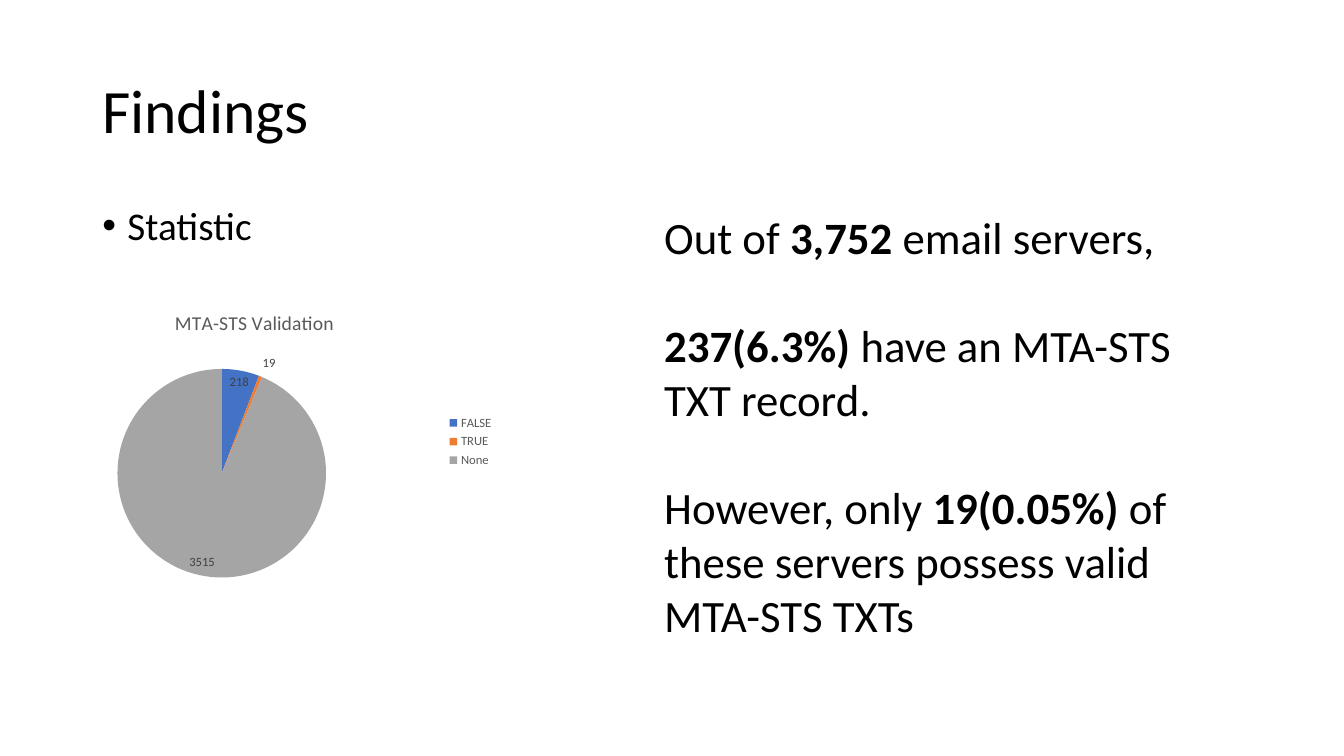
"""Build the Findings slide with a pie chart of MTA-STS validation results."""
from lxml import etree
from pptx import Presentation
from pptx import util as u
from pptx.chart import data as chart_data
from pptx.dml import color
from pptx.enum import chart as chart_enum, text
from pptx.oxml import ns

FONT = "Calibri"
COLORS = {"text": "000000", "legend": "595959", "label": "404040",
          "FALSE": "4472C4", "TRUE": "ED7D31", "None": "A5A5A5"}
VALIDATION = {"FALSE": 218, "TRUE": 19, "None": 3515}
FINDINGS = [
    [("Out of ", False), ("3,752", True), (" email servers,", False)],
    [("237(6.3%)", True), (" have an MTA-STS TXT record.", False)],
    [("However, only ", False), ("19(0.05%)", True),
     (" of these servers possess valid MTA-STS TXTs", False)],
]


def style_font(font, size, color_name="text", bold=False):
    """Set the typeface, size, colour and weight of a font."""
    font.name = FONT
    font.size = u.Pt(size)
    font.bold = bold
    font.color.rgb = color.RGBColor.from_string(COLORS[color_name])


def add_text_frame(slide, box, anchor=text.MSO_ANCHOR.TOP):
    """Add a wrapping text box and return its text frame."""
    frame = slide.shapes.add_textbox(*map(u.Pt, box)).text_frame
    frame.word_wrap = True
    frame.vertical_anchor = anchor
    return frame


def add_title(slide, box):
    """Add the slide title, centred vertically in its box."""
    frame = add_text_frame(slide, box, text.MSO_ANCHOR.MIDDLE)
    frame.text = "Findings"
    paragraph = frame.paragraphs[0]
    paragraph.line_spacing = 0.9
    style_font(paragraph.runs[0].font, 44)


def add_bullet(slide, box):
    """Add the bulleted heading above the chart."""
    frame = add_text_frame(slide, box)
    frame.text = "Statistic"
    paragraph = frame.paragraphs[0]
    paragraph.line_spacing = 0.9
    paragraph.space_before = u.Pt(10)
    style_font(paragraph.runs[0].font, 28)
    properties = paragraph._p.get_or_add_pPr()
    properties.set("marL", str(u.Pt(18)))
    properties.set("indent", str(-u.Pt(18)))
    etree.SubElement(properties, ns.qn("a:buFont")).set("typeface", "Arial")
    etree.SubElement(properties, ns.qn("a:buChar")).set("char", "•")


def set_layout(parent, index, **fractions):
    """Place a chart part by fractions of the chart area."""
    for old_layout in parent.findall(ns.qn("c:layout")):
        parent.remove(old_layout)
    layout = etree.Element(ns.qn("c:layout"))
    manual = etree.SubElement(layout, ns.qn("c:manualLayout"))
    if "w" in fractions:
        etree.SubElement(manual, ns.qn("c:layoutTarget")).set("val", "inner")
    for mode in ("xMode", "yMode"):
        etree.SubElement(manual, ns.qn(f"c:{mode}")).set("val", "edge")
    for name, value in fractions.items():
        etree.SubElement(manual, ns.qn(f"c:{name}")).set("val", str(value))
    parent.insert(index, layout)


def add_validation_chart(slide, box):
    """Add the pie chart with its title, legend and value labels."""
    data = chart_data.CategoryChartData()
    data.categories = list(VALIDATION)
    data.add_series("Series 1", list(VALIDATION.values()))
    chart = slide.shapes.add_chart(
        chart_enum.XL_CHART_TYPE.PIE, *map(u.Pt, box), data).chart
    style_font(chart.font, 10)

    title_frame = chart.chart_title.text_frame
    title_frame.text = "MTA-STS Validation"
    style_font(title_frame.paragraphs[0].runs[0].font, 14, "legend")
    set_layout(chart.chart_title._element, 1, x=0.34, y=0.05)

    chart.has_legend = True
    chart.legend.position = chart_enum.XL_LEGEND_POSITION.RIGHT
    chart.legend.include_in_layout = False
    style_font(chart.legend.font, 9, "legend")

    plot = chart.plots[0]
    plot.vary_by_categories = True
    set_layout(chart._chartSpace.chart.plotArea, 0,
               x=0.23, y=0.26, w=0.42, h=0.69)
    series = plot.series[0]
    for index, category in enumerate(VALIDATION):
        fill = series.points[index].format.fill
        fill.solid()
        fill.fore_color.rgb = color.RGBColor.from_string(COLORS[category])
    labels = series.data_labels
    labels.show_value = True
    labels.position = chart_enum.XL_LABEL_POSITION.BEST_FIT
    style_font(labels.font, 9, "label")


def add_findings(slide, box):
    """Add the three findings, separated by one line of space."""
    frame = add_text_frame(slide, box)
    for index, parts in enumerate(FINDINGS):
        paragraph = frame.add_paragraph() if index else frame.paragraphs[0]
        paragraph.space_before = u.Pt(39 if index else 0)
        for wording, bold in parts:
            run = paragraph.add_run()
            run.text = wording
            style_font(run.font, 32, bold=bold)


def main():
    """Create the presentation and save it."""
    presentation = Presentation()
    presentation.slide_width = u.Pt(960)
    presentation.slide_height = u.Pt(540)
    slide = presentation.slides.add_slide(presentation.slide_layouts[6])
    add_title(slide, (66, 28.75, 828, 104.4))
    add_bullet(slide, (66, 143.75, 828, 342.6))
    add_validation_chart(slide, (0, 207.4, 360, 216))
    add_findings(slide, (467.3, 146.2, 426.2, 317.5))
    presentation.save("out.pptx")


if __name__ == "__main__":
    main()
